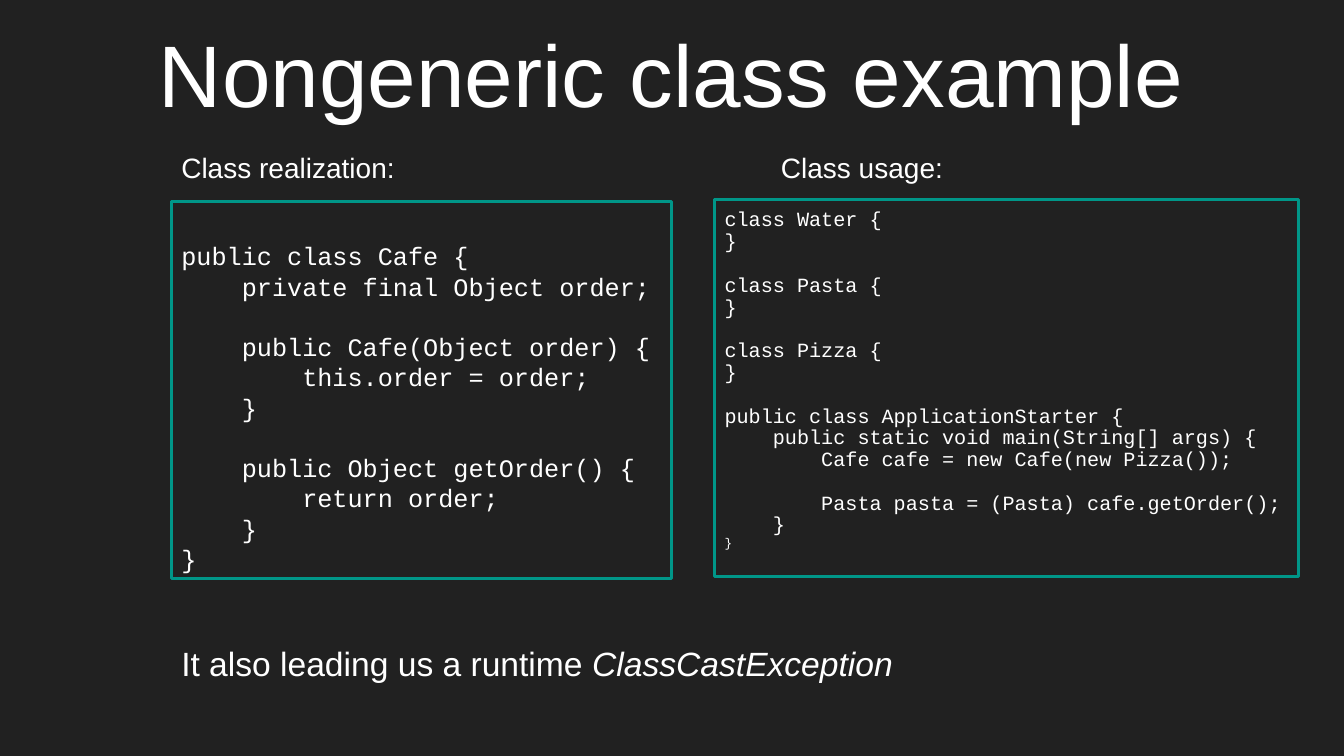
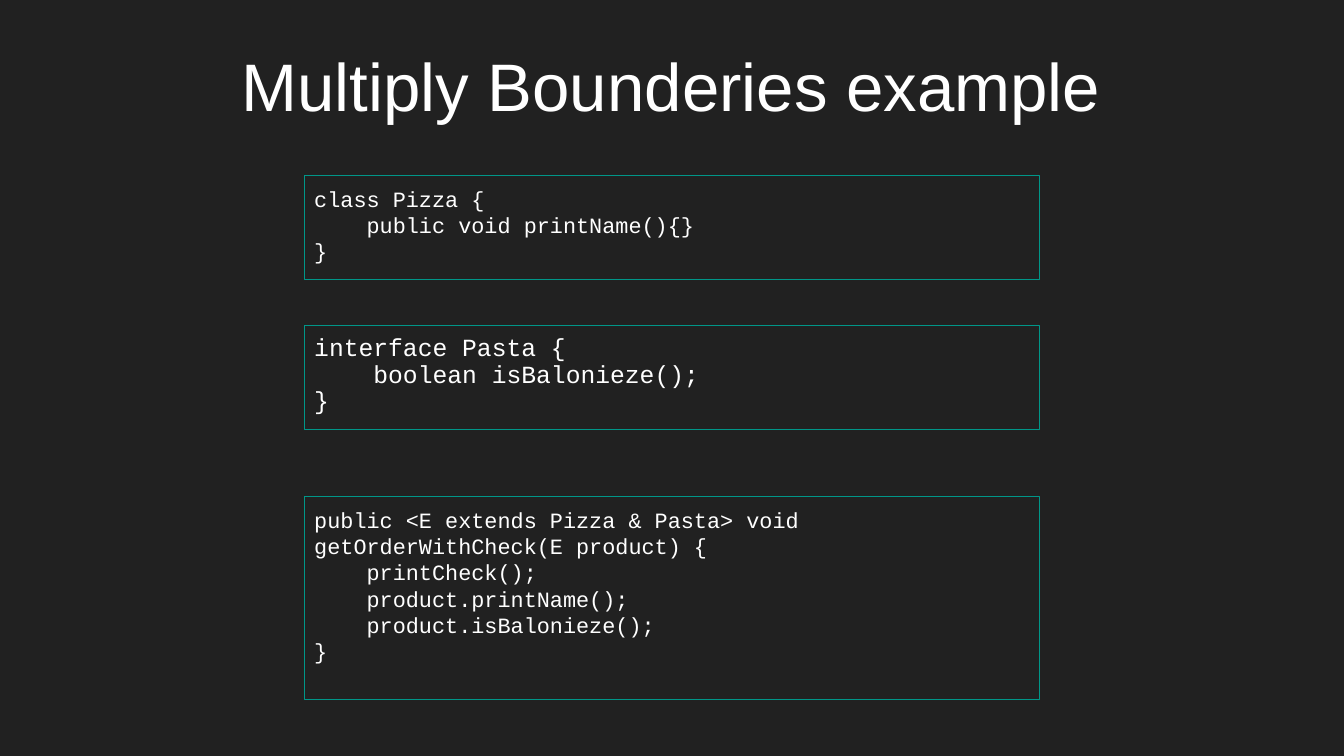
from copy import deepcopy

from pptx import Presentation
from pptx.dml.color import RGBColor
from pptx.enum.shapes import MSO_SHAPE
from pptx.enum.text import MSO_ANCHOR, PP_ALIGN
from pptx.oxml.ns import qn
from pptx.util import Cm, Pt

RECTANGLE = MSO_SHAPE.RECTANGLE
TOP, BOTTOM = MSO_ANCHOR.TOP, MSO_ANCHOR.BOTTOM
LEFT, CENTER = PP_ALIGN.LEFT, PP_ALIGN.CENTER

# Shared style
DARK = RGBColor(0x21, 0x21, 0x21)
TEAL = RGBColor(0x00, 0x96, 0x88)
WHITE = RGBColor(0xFF, 0xFF, 0xFF)
TEXT_FONT, CODE_FONT = "Arial", "Courier New"
BLANK_LAYOUT = 6
INSET = Cm(0.25)

# Code listings
CAFE_CLASS = """public class Cafe {
    private final Object order;

    public Cafe(Object order) {
        this.order = order;
    }

    public Object getOrder() {
        return order;
    }
}"""

CAFE_USAGE = """class Water {
}

class Pasta {
}

class Pizza {
}

public class ApplicationStarter {
    public static void main(String[] args) {
        Cafe cafe = new Cafe(new Pizza());

        Pasta pasta = (Pasta) cafe.getOrder();
    }
}"""

PIZZA_CLASS = """class Pizza {
    public void printName(){}
}"""

PASTA_INTERFACE = """interface Pasta {
    boolean isBalonieze();
}"""

BOUNDED_METHOD = """public <E extends Pizza & Pasta> void getOrderWithCheck(E product) {
    printCheck();
    product.printName();
    product.isBalonieze();
}"""


def style_run(run, font_name, size):
    run.font.name = font_name
    run.font.size = Pt(size)
    run.font.color.rgb = WHITE


def set_insets(frame, vertical):
    frame.margin_left = frame.margin_right = INSET
    frame.margin_top = frame.margin_bottom = vertical


def add_title(slide, text, size):
    title = slide.shapes.add_textbox(Cm(1.14), Cm(0.46), Cm(31.55), Cm(2.95))
    frame = title.text_frame
    frame.word_wrap = True
    frame.vertical_anchor = BOTTOM
    set_insets(frame, INSET)
    frame.text = text
    line = frame.paragraphs[0]
    line.alignment = CENTER
    style_run(line.runs[0], TEXT_FONT, size)


def add_caption(slide, left, top, width, height, size, text, emphasis=""):
    caption = slide.shapes.add_textbox(Cm(left), Cm(top), Cm(width), Cm(height))
    frame = caption.text_frame
    frame.word_wrap = False
    frame.text = text
    line = frame.paragraphs[0]
    if emphasis:
        stressed = line.add_run()
        stressed.text = emphasis
        stressed.font.italic = True
    for run in line.runs:
        style_run(run, TEXT_FONT, size)


def add_code_box(slide, left, top, width, height, code, size, border,
                 filled=False, spacing=1.0, anchor=TOP, inset=INSET):
    """Add a framed listing and return its paragraph."""
    box = slide.shapes.add_shape(RECTANGLE, Cm(left), Cm(top), Cm(width), Cm(height))
    box.shadow.inherit = False
    if filled:
        box.fill.solid()
        box.fill.fore_color.rgb = DARK
    else:
        box.fill.background()
    box.line.color.rgb = TEAL
    box.line.width = Pt(border)

    frame = box.text_frame
    frame.word_wrap = True
    frame.vertical_anchor = anchor
    set_insets(frame, inset)
    listing = frame.paragraphs[0]
    listing.text = code
    listing.alignment = LEFT
    listing.line_spacing = spacing
    for run in listing.runs:
        style_run(run, CODE_FONT, size)
    # Line breaks take the code font, so empty code lines keep their height
    code_style = listing.runs[0].font._rPr
    for line_break in listing._p.findall(qn("a:br")):
        line_break.append(deepcopy(code_style))
    return listing


def build_nongeneric_slide(slide):
    add_title(slide, "Nongeneric class example", 62.4)

    # Class usage on the right, class realization on the left
    usage = add_code_box(slide, 18.01, 5.03, 14.71, 9.5, CAFE_USAGE, 14.4, 2,
                         filled=True, spacing=0.9)
    usage.runs[-1].font.size = Pt(9)
    add_code_box(slide, 4.32, 5.08, 12.6, 9.5, CAFE_CLASS, 18, 2,
                 filled=True, anchor=BOTTOM, inset=Cm(0.13))

    # Captions and conclusion
    add_caption(slide, 4.32, 3.68, 5.94, 1.12, 20, "Class realization:")
    add_caption(slide, 19.43, 3.68, 4.62, 1.12, 20, "Class usage:")
    add_caption(slide, 4.32, 16.08, 18.64, 1.27, 24,
                "It also leading us a runtime ", "ClassCastException")


def build_boundaries_slide(slide):
    add_title(slide, "Multiply Bounderies example", 48)

    # Listings in one column: top, height, code, size, line spacing
    listings = [
        (8.2, 2.62, PASTA_INTERFACE, 17.6, 0.9),
        (4.42, 2.62, PIZZA_CLASS, 15.6, 1.0),
        (12.52, 5.11, BOUNDED_METHOD, 15.6, 1.0),
    ]
    for top, height, code, size, spacing in listings:
        add_code_box(slide, 7.67, top, 18.54, height, code, size, 0.75,
                     spacing=spacing)


def main():
    deck = Presentation()
    deck.slide_width, deck.slide_height = Cm(33.87), Cm(19.05)
    backdrop = deck.slide_master.background.fill
    backdrop.solid()
    backdrop.fore_color.rgb = DARK

    for build in (build_nongeneric_slide, build_boundaries_slide):
        build(deck.slides.add_slide(deck.slide_layouts[BLANK_LAYOUT]))
    deck.save("out.pptx")


main()
